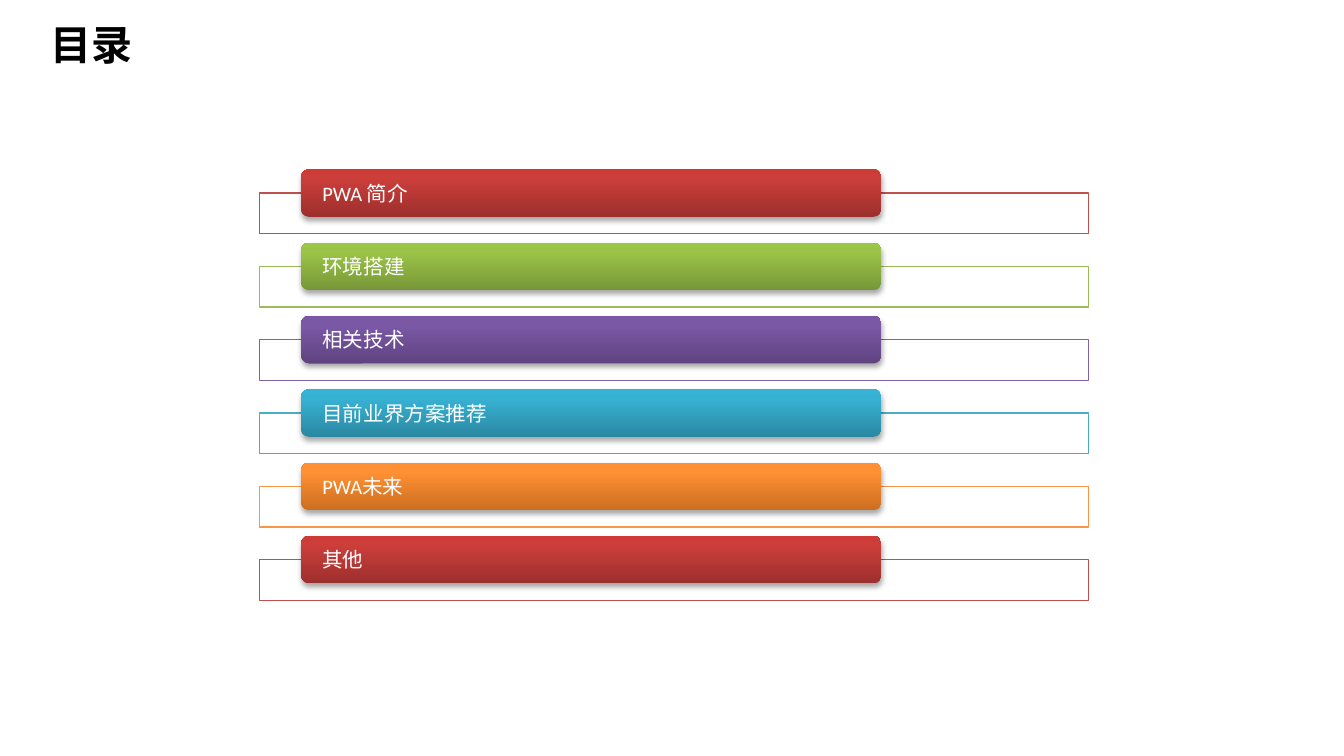
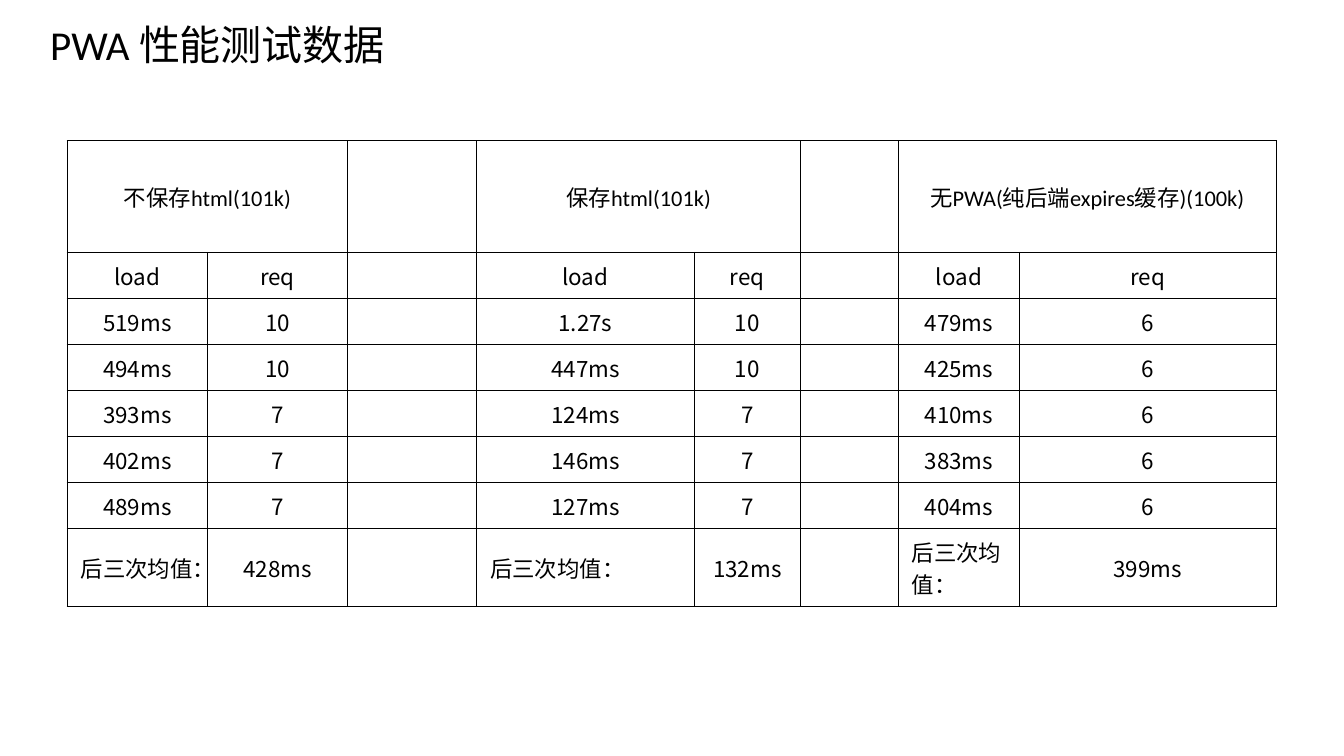
from copy import deepcopy
from lxml import etree
from pptx import Presentation, util as u
from pptx.dml.color import RGBColor
from pptx.enum import shapes, text
from pptx.oxml.ns import qn

Cm, Pt = u.Cm, u.Pt
LATIN, CJK = "Calibri", "Noto Sans CJK SC"
BLACK, WHITE = "000000", "FFFFFF"
hue = RGBColor.from_string


def write(frame, words, size=12, font=LATIN, color=BLACK, bold=False, align="LEFT"):
    """Fill a text frame or table cell with one vertically centred paragraph."""
    frame.vertical_anchor = text.MSO_ANCHOR.MIDDLE
    body = getattr(frame, "text_frame", frame)
    body.word_wrap = True
    par = body.paragraphs[0]
    par.alignment = getattr(text.PP_ALIGN, align)
    # Keeps empty cells from growing to the default text size
    par._p.get_or_add_endParaRPr().set("sz", str(size * 100))
    if words:
        run = par.add_run()
        run.text = words
        run.font.size, run.font.name, run.font.bold = Pt(size), font, bold
        run.font.color.rgb = hue(color)
        etree.SubElement(run._r.rPr, qn("a:ea"), typeface=CJK)


deck = Presentation()
deck.slide_width, deck.slide_height = Cm(25.4), Cm(14.29)
pages = []
for words, style in [("目录", dict(font=CJK, bold=True)), ("PWA 性能测试数据", {})]:
    page = deck.slides.add_slide(deck.slide_layouts[6])
    title = page.shapes.add_textbox(Cm(0.7), 0, Cm(20.35), Cm(1.68))
    write(title.text_frame, words, size=22, **style)
    pages.append(page)
agenda, tests = pages

# Agenda: outline colour, then bar gradient from bottom to top
red = "C0504D", "9C2F2D", "CB3E3A", "CE3B37"
green = "9BBB59", "779737", "9BC348", "9DC746"
purple = "8064A2", "5F4480", "7B58A6", "7C57A8"
blue = "4BACC6", "2A88A2", "37B1D2", "34B4D6"
orange = "F79646", "CC6E20", "FF9034", "FF9136"
topics = [("PWA 简介", red), ("环境搭建", green), ("相关技术", purple),
          ("目前业界方案推荐", blue), ("PWA未来", orange), ("其他", red)]
kinds = shapes.MSO_SHAPE
step = Cm(6.93) // 5

for i, (topic, (edge, *shades)) in enumerate(topics):
    drop = step * i
    box = agenda.shapes.add_shape(kinds.RECTANGLE, Cm(4.9), Cm(3.65) + drop, Cm(15.67), Cm(0.77))
    box.shadow.inherit = False
    box.fill.solid()
    box.fill.fore_color.rgb = hue(WHITE)
    tint = box._element.spPr.find(".//" + qn("a:srgbClr"))
    etree.SubElement(tint, qn("a:alpha"), val="90000")
    box.line.color.rgb, box.line.width = hue(edge), Pt(0.75)

    bar = agenda.shapes.add_shape(kinds.ROUNDED_RECTANGLE, Cm(5.69), Cm(3.2) + drop, Cm(10.97), Cm(0.9))
    bar.line.fill.background()
    bar.fill.gradient()
    bar.fill.gradient_angle = 90
    props = bar._element.spPr
    stops = props.find(".//" + qn("a:gsLst"))
    stops.append(deepcopy(stops[-1]))
    for stop, spot, shade in zip(bar.fill.gradient_stops, (0, 0.8, 1), shades):
        stop.position, stop.color.rgb = spot, hue(shade)
    bar.shadow.inherit = False
    cast = etree.SubElement(props.find(qn("a:effectLst")), qn("a:outerShdw"),
                            blurRad="40000", dist="23000", dir="5400000", rotWithShape="0")
    black = etree.SubElement(cast, qn("a:srgbClr"), val=BLACK)
    etree.SubElement(black, qn("a:alpha"), val="35000")
    frame = bar.text_frame
    frame.margin_left = frame.margin_right = Cm(0.36)
    frame.margin_top = frame.margin_bottom = 0
    write(frame, topic, size=11, color=WHITE)

# Load times and request counts for three caching setups
mean = "后三次均值："
rows = [
    ["不保存html(101k)", "", "", "保存html(101k)", "", "", "无PWA(纯后端expires缓存)(100k)", ""],
    ["load", "req", "", "load", "req", "", "load", "req"],
    ["519ms", "10", "", "1.27s", "10", "", "479ms", "6"],
    ["494ms", "10", "", "447ms", "10", "", "425ms", "6"],
    ["393ms", "7", "", "124ms", "7", "", "410ms", "6"],
    ["402ms", "7", "", "146ms", "7", "", "383ms", "6"],
    ["489ms", "7", "", "127ms", "7", "", "404ms", "6"],
    [mean, "428ms", "", mean, "132ms", "", mean, "399ms"],
]
widths = [2.65, 2.65, 2.44, 4.11, 2.01, 1.85, 2.29, 4.85]
heights = [2.11] + [0.87] * 6 + [1.47]
grid = tests.shapes.add_table(len(rows), len(widths), Cm(1.27), Cm(2.66),
                              Cm(sum(widths)), Cm(sum(heights))).table
grid.first_row = grid.horz_banding = False
for col, width in zip(grid.columns, widths):
    col.width = Cm(width)
for row, height in zip(grid.rows, heights):
    row.height = Cm(height)

for r, row in enumerate(rows):
    for c, words in enumerate(row):
        cell = grid.cell(r, c)
        label = r == 0 or words == mean
        write(cell, words, font=LATIN if label else CJK,
              align="LEFT" if words == mean else "CENTER")
        cell.fill.background()
        props = cell._tc.get_or_add_tcPr()
        for n, side in enumerate(("lnL", "lnR", "lnT", "lnB")):
            line = etree.Element(qn("a:" + side), w=str(Pt(0.75)))
            ink = etree.SubElement(line, qn("a:solidFill"))
            etree.SubElement(ink, qn("a:srgbClr"), val=BLACK)
            props.insert(n, line)
for c in (0, 3, 6):
    grid.cell(0, c).merge(grid.cell(0, c + 1))

deck.save("out.pptx")
